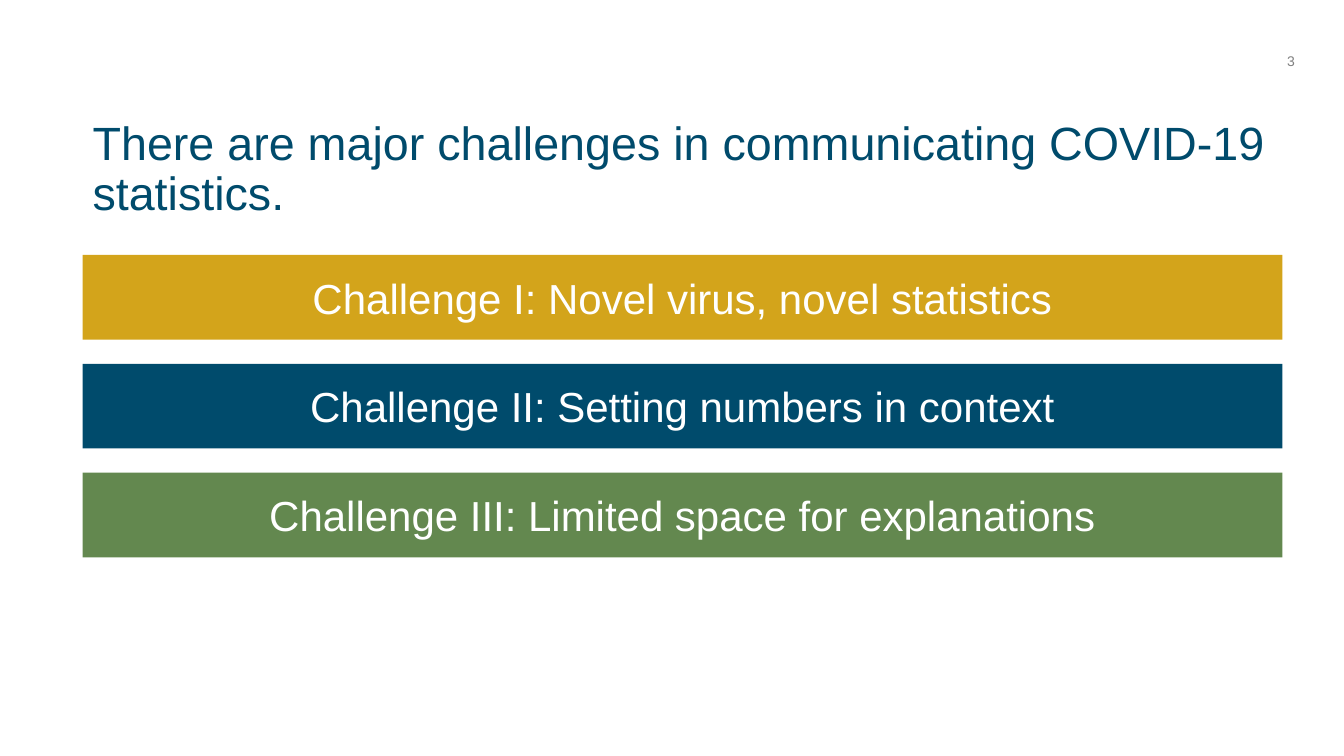
from pptx import Presentation
from pptx.dml.color import RGBColor
from pptx.enum.shapes import MSO_SHAPE
from pptx.enum.text import MSO_ANCHOR, PP_ALIGN
from pptx.util import Inches, Pt

RECTANGLE = MSO_SHAPE.RECTANGLE
MIDDLE = MSO_ANCHOR.MIDDLE
LEFT, CENTER, RIGHT = PP_ALIGN.LEFT, PP_ALIGN.CENTER, PP_ALIGN.RIGHT

WHITE = RGBColor(0xFF, 0xFF, 0xFF)
GRAY = RGBColor(0x80, 0x80, 0x80)
GOLD = RGBColor(0xD3, 0xA4, 0x1B)
NAVY = RGBColor(0x00, 0x4B, 0x6C)
GREEN = RGBColor(0x63, 0x88, 0x4F)

FONT = "Arial"
MARGIN = 0.82
BAR_TOP, BAR_PITCH = 2.53, 1.08
BAR_WIDTH, BAR_HEIGHT = 11.9, 0.84

CHALLENGES = [
    ("Challenge I: Novel virus, novel statistics", GOLD),
    ("Challenge II: Setting numbers in context", NAVY),
    ("Challenge III: Limited space for explanations", GREEN),
]


def write_text(shape, text, size, color, align=LEFT, line_spacing=1.0):
    frame = shape.text_frame
    frame.word_wrap = True
    frame.vertical_anchor = MIDDLE
    paragraph = frame.paragraphs[0]
    paragraph.alignment = align
    paragraph.line_spacing = line_spacing
    run = paragraph.add_run()
    run.text = text
    run.font.name = FONT
    run.font.size = Pt(size)
    run.font.color.rgb = color


def add_label(slide, left, top, width, height, text, **text_format):
    label = slide.shapes.add_textbox(
        Inches(left), Inches(top), Inches(width), Inches(height))
    write_text(label, text, **text_format)


def add_challenge_bar(slide, top, text, fill_color):
    bar = slide.shapes.add_shape(
        RECTANGLE, Inches(MARGIN), Inches(top),
        Inches(BAR_WIDTH), Inches(BAR_HEIGHT))
    bar.shadow.inherit = False
    bar.fill.solid()
    bar.fill.fore_color.rgb = fill_color
    bar.line.fill.background()
    write_text(bar, text, size=30, color=WHITE, align=CENTER)


def main():
    presentation = Presentation()
    presentation.slide_width = Inches(13.33)
    presentation.slide_height = Inches(7.5)
    slide = presentation.slides.add_slide(presentation.slide_layouts[6])

    add_label(slide, MARGIN, 1.09, 12.13, 1.2,
              "There are major challenges in communicating COVID-19 statistics.",
              size=33.3, color=NAVY, line_spacing=0.9)
    add_label(slide, 12.49, 0.4, 0.45, 0.4, "3",
              size=10, color=GRAY, align=RIGHT)
    for row, (text, fill_color) in enumerate(CHALLENGES):
        add_challenge_bar(slide, BAR_TOP + row * BAR_PITCH, text, fill_color)

    presentation.save("out.pptx")


if __name__ == "__main__":
    main()
